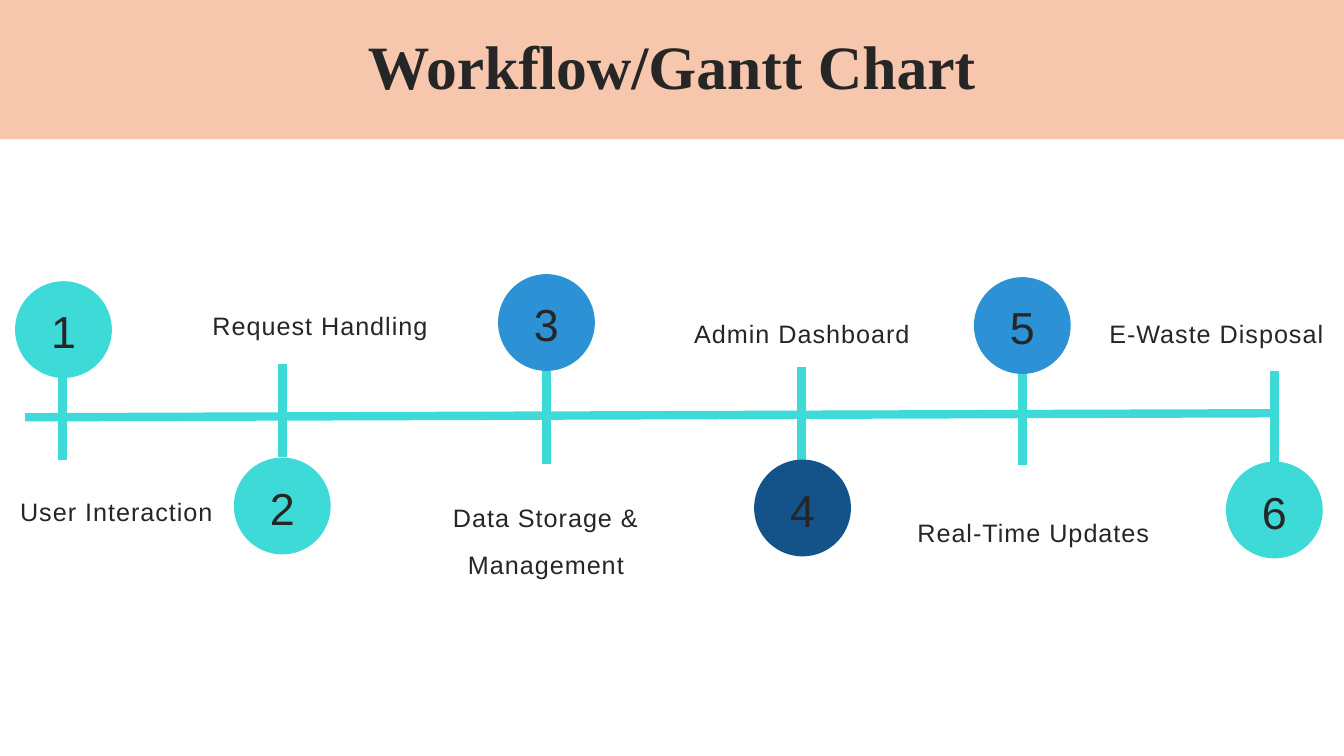
from pptx import Presentation
from pptx.dml.color import RGBColor
from pptx.enum.shapes import MSO_CONNECTOR, MSO_SHAPE
from pptx.enum.text import MSO_ANCHOR, PP_ALIGN
from pptx.oxml.ns import qn
from pptx.util import Inches, Pt
from lxml import etree

STRAIGHT = MSO_CONNECTOR.STRAIGHT
OVAL = MSO_SHAPE.OVAL
CENTER = PP_ALIGN.CENTER
MIDDLE = MSO_ANCHOR.MIDDLE
TOP = MSO_ANCHOR.TOP

PEACH = RGBColor(0xF6, 0xC6, 0xAD)
INK = RGBColor(0x26, 0x26, 0x26)
TEAL = RGBColor(0x3E, 0xDA, 0xD8)
BLUE = RGBColor(0x2C, 0x92, 0xD5)
NAVY = RGBColor(0x13, 0x53, 0x8A)

TITLE = "Workflow/Gantt Chart"
AXIS = (0.25, 4.14, 12.64, 4.1)
DISC = 0.96
TICK = 0.92

# label, label box, tick x, tick top, disc center x, disc top, color
STEPS = [
    ("User Interaction", (0, 4.77, 2.31, 0.46), 0.62, 3.64, 0.63, 2.79, TEAL),
    ("Request Handling", (1.8, 2.92, 2.75, 0.46), 2.8, 3.61, 2.8, 4.54, TEAL),
    ("Data Storage & Management", (4.02, 4.83, 2.79, 0.93), 5.42, 3.68, 5.42, 2.72, BLUE),
    ("Admin Dashboard", (6.49, 3, 2.93, 0.46), 7.95, 3.64, 7.96, 4.56, NAVY),
    ("Real-Time Updates", (9.08, 4.97, 2.34, 0.4), 10.14, 3.69, 10.14, 2.75, BLUE),
    ("E-Waste Disposal", (10.6, 3, 2.93, 0.41), 12.64, 3.68, 12.64, 4.58, TEAL),
]


def add_line(shapes, *ends):
    line = shapes.add_connector(STRAIGHT, *map(Inches, ends))
    line.line.color.rgb = TEAL
    line.line.width = Pt(6)
    etree.SubElement(line._element.spPr, qn("a:effectLst"))


def add_text(shapes, text, box, size, lead, track, inset, anchor):
    frame = shapes.add_textbox(*map(Inches, box)).text_frame
    frame.word_wrap = True
    frame.vertical_anchor = anchor
    frame.margin_left = frame.margin_right = Inches(inset)
    frame.margin_top = frame.margin_bottom = Inches(inset)
    para = frame.paragraphs[0]
    para.text = text
    para.alignment = CENTER
    para.line_spacing = Pt(lead)
    style(para.font, "Arial", size)
    para.runs[0].font._element.set("spc", str(track))


def style(font, name, size):
    font.name = name
    font.size = Pt(size)
    font.color.rgb = INK


def add_disc(shapes, num, mid, top, color):
    group = shapes.add_group_shape().shapes
    left = mid - DISC / 2
    disc = group.add_shape(OVAL, *map(Inches, (left, top, DISC, DISC)))
    disc.shadow.inherit = False
    disc.fill.solid()
    disc.fill.fore_color.rgb = color
    disc.line.fill.background()
    box = (left + 0.09, top - 0.02, 0.78, 0.89)
    add_text(group, str(num), box, 32, 48, 100, 0.06, MIDDLE)


def main():
    deck = Presentation()
    deck.slide_width = Inches(13.33)
    deck.slide_height = Inches(7.5)
    slide = deck.slides.add_slide(deck.slide_layouts[5])
    shapes = slide.shapes

    title = shapes.title
    title.left = title.top = 0
    title.width = deck.slide_width
    title.height = Inches(1.38)
    title.fill.solid()
    title.fill.fore_color.rgb = PEACH
    title.text_frame.vertical_anchor = MIDDLE
    para = title.text_frame.paragraphs[0]
    para.text = TITLE
    para.alignment = CENTER
    para.line_spacing = 0.9
    style(para.font, "Times New Roman", 44)
    para.font.bold = True

    add_line(shapes, *AXIS)
    for num, (label, box, x, y, mid, top, color) in enumerate(STEPS, 1):
        add_line(shapes, x, y + TICK, x, y)
        add_text(shapes, label, box, 18, 33, 70, 0, TOP)
        add_disc(shapes, num, mid, top, color)

    deck.save("out.pptx")


if __name__ == "__main__":
    main()
